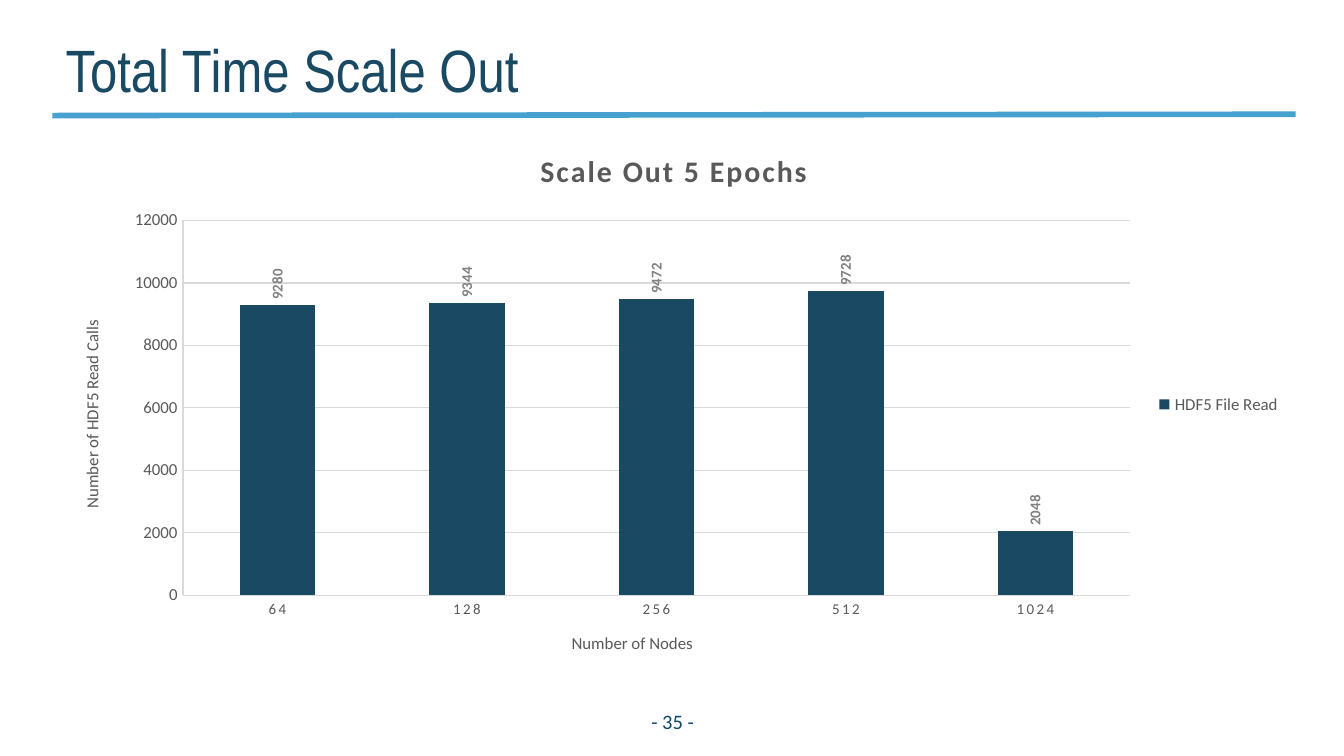
from lxml import etree
from pptx import Presentation
from pptx.chart.data import CategoryChartData
from pptx.dml.color import RGBColor
from pptx.enum.chart import (XL_CHART_TYPE as CHART, XL_LABEL_POSITION as LABEL,
                             XL_LEGEND_POSITION as LEGEND, XL_TICK_MARK as TICK)
from pptx.enum.text import MSO_ANCHOR as ANCHOR, PP_ALIGN as ALIGN
from pptx.oxml.ns import qn
from pptx.util import Inches, Pt

NAVY, SKY, GREY, RULE = "194963", "46A0D0", "595959", "D9D9D9"
CHART_BOX = (0.39, 0.95, 9.24, 4.12)


def rgb(value):
    """Turn a hex string into a colour."""
    return RGBColor.from_string(value)


def style_font(font, size, color, **extra):
    """Set size, colour and further attributes of a font."""
    for name, value in {"name": "Calibri", "size": Pt(size), "bold": False, **extra}.items():
        setattr(font, name, value)
    font.color.rgb = rgb(color)


def style_line(line, color, width):
    """Set colour and width of a line."""
    line.color.rgb = rgb(color)
    line.width = Pt(width)


def set_layout(parent, index, inner=False, **inches):
    """Place a chart part, given in inches from the chart's corner."""
    for old in parent.findall(qn("c:layout")):
        parent.remove(old)
    layout = etree.Element(qn("c:layout"))
    manual = etree.SubElement(layout, qn("c:manualLayout"))
    width, height = CHART_BOX[2:]
    values = {"layoutTarget": "inner"} if inner else {}
    values.update(xMode="edge", yMode="edge")
    for tag, length in inches.items():
        values[tag] = length / (width if tag in "xw" else height)
    for tag, value in values.items():
        etree.SubElement(manual, qn(f"c:{tag}")).set("val", str(value))
    parent.insert(index, layout)


def add_text(s, box, text, size, color, align, frame, **extra):
    """Add a one-line text box."""
    tf = s.shapes.add_textbox(*map(Inches, box)).text_frame
    for name, value in {"word_wrap": True, **frame}.items():
        setattr(tf, name, value)
    p = tf.paragraphs[0]
    p.alignment = align
    r = p.add_run()
    r.text = text
    style_font(r.font, size, color, **extra)


def add_header(s, left, top, width, text):
    """Add the slide title and the rule below it."""
    add_text(s, (left, top, 7.46, 0.63), text, 32, NAVY, ALIGN.LEFT,
             {"vertical_anchor": ANCHOR.BOTTOM, "margin_top": 0, "margin_bottom": 0},
             name="Arial Narrow")
    ends = (left, top + 0.71, left + width, top + 0.7)
    rule = s.shapes.add_connector(1, *map(Inches, ends))
    style_line(rule.line, SKY, 3)
    etree.SubElement(rule._element.spPr, qn("a:effectLst"))


def add_title(owner, title, text, size, x, y, bold=False, spacing=0):
    """Give a chart or axis its title at a fixed place."""
    owner.has_title = True
    p = title.text_frame.paragraphs[0]
    r = p.add_run()
    r.text = text
    style_font(r.font, size, GREY, bold=bold)
    r.font._element.set("spc", str(spacing))
    set_layout(title._element, 1, x=x, y=y)


def style_axis(axis, size):
    """Set the line, marks and labels of an axis."""
    for name, value in {"major_tick_mark": TICK.NONE, "minor_tick_mark": TICK.NONE}.items():
        setattr(axis, name, value)
    style_font(axis.tick_labels.font, size, GREY)
    style_line(axis.format.line, RULE, 0.75)


def add_read_chart(s, box):
    """Add the column chart of read calls by node count."""
    data = CategoryChartData()
    data.categories = ["64", "128", "256", "512", "1024"]
    data.add_series("HDF5 File Read", (9280, 9344, 9472, 9728, 2048))
    chart = s.shapes.add_chart(CHART.COLUMN_CLUSTERED, *map(Inches, box), data).chart
    style_font(chart.font, 10, "000000")
    add_title(chart, chart.chart_title, "Scale Out 5 Epochs", 16, 3.59, 0.13, True, 120)

    nodes, calls = chart.category_axis, chart.value_axis
    style_axis(nodes, 8)
    nodes.tick_labels.font._element.set("spc", "120")
    add_title(nodes, nodes.axis_title, "Number of Nodes", 9, 3.84, 3.73)
    style_axis(calls, 9)
    add_title(calls, calls.axis_title, "Number of HDF5 Read Calls", 9, 0.19, 1.41)
    calls.minimum_scale, calls.maximum_scale, calls.major_unit = 0, 12000, 2000
    style_line(calls.major_gridlines.format.line, RULE, 0.75)

    chart.has_legend = True
    chart.legend.position = LEGEND.RIGHT
    chart.legend.include_in_layout = False
    style_font(chart.legend.font, 9, GREY)

    plot = chart.plots[0]
    plot.gap_width = 150
    plot.vary_by_categories = False
    series = plot.series[0]
    series.format.fill.solid()
    series.format.fill.fore_color.rgb = rgb(NAVY)
    labels = series.data_labels
    labels.show_value = True
    labels.position = LABEL.OUTSIDE_END
    style_font(labels.font, 8, "808080", bold=True)
    body = labels._element.find(qn("c:txPr")).find(qn("a:bodyPr"))
    body.set("rot", "-5400000")
    body.set("vert", "horz")
    set_layout(plot._element.getparent(), 0, True, x=0.97, y=0.69, w=7.05, h=2.79)


def main():
    """Build the slide and save it."""
    prs = Presentation()
    prs.slide_width, prs.slide_height = Inches(10), Inches(10 * 9 / 16)
    s = prs.slides.add_slide(prs.slide_layouts[6])
    add_header(s, 0.39, 0.15, 9.25, "Total Time Scale Out")
    add_read_chart(s, CHART_BOX)
    add_text(s, (4.5, 5.22, 1.01, 0.3), "- 35 -", 11, "114766", ALIGN.CENTER,
             {"vertical_anchor": ANCHOR.MIDDLE})
    prs.save("out.pptx")


if __name__ == "__main__":
    main()
